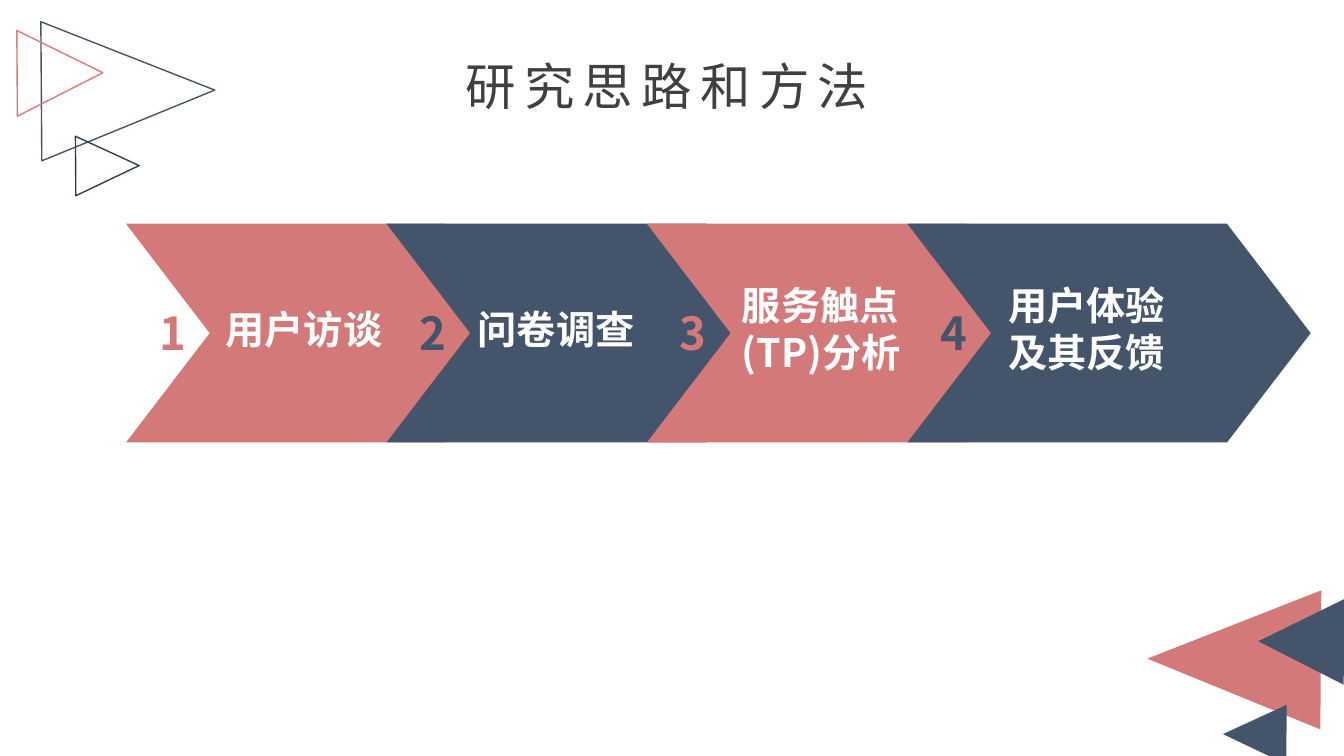
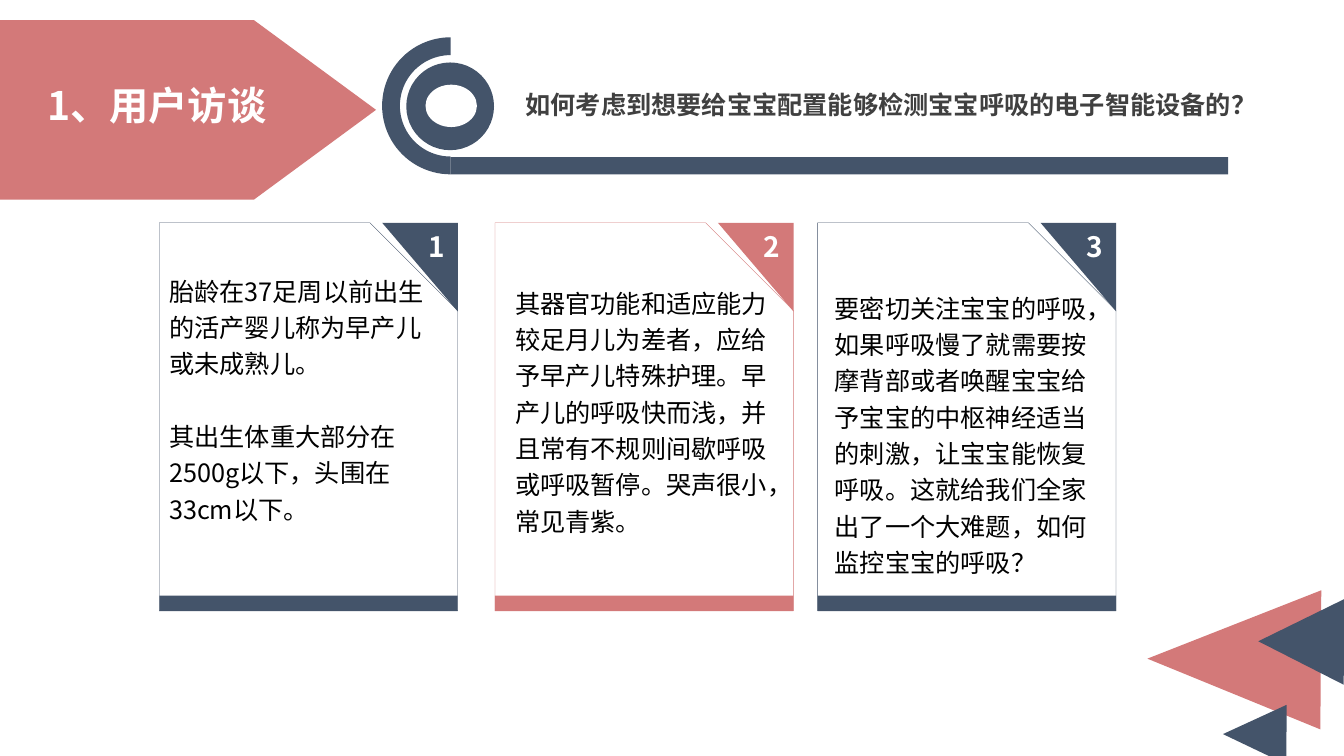
from lxml import etree
from pptx import Presentation
from pptx.dml.color import RGBColor
from pptx.enum.shapes import MSO_SHAPE
from pptx.enum.text import MSO_ANCHOR, MSO_AUTO_SIZE, PP_ALIGN
from pptx.oxml.ns import qn
from pptx.util import Pt

LEFT, CENTER, RIGHT = PP_ALIGN.LEFT, PP_ALIGN.CENTER, PP_ALIGN.RIGHT
TOP, MIDDLE = MSO_ANCHOR.TOP, MSO_ANCHOR.MIDDLE
TRIANGLE, RECT, OVAL = MSO_SHAPE.ISOSCELES_TRIANGLE, MSO_SHAPE.RECTANGLE, MSO_SHAPE.OVAL

PX = 9144  # 100 px to the inch
SLIDE_W, SLIDE_H = 1333, 750
TITLE_ONLY = 5
FONT = "Noto Sans CJK SC"
COLORS = {
    "coral": "D37979", "navy": "44546A", "dark navy": "333F50", "pink": "DD7979",
    "white": "FFFFFF", "black": "000000", "gray": "404040",
}

# box, colour
CORNER_TRIANGLES = [
    ((1155, 568, 138, 172), "coral"),
    ((1215, 697, 59, 63), "navy"),
    ((1248, 594, 85, 85), "navy"),
]
OUTLINE_TRIANGLES = [
    ((58, 4, 138, 172), "navy"),
    ((77, 133, 59, 63), "dark navy"),
    ((17, 30, 85, 85), "pink"),
]

METHODS_TITLE = "研究思路和方法"
# label left, label lines
STEPS = [
    (214, ["用户访谈"]),
    (464, ["问卷调查"]),
    (726, ["服务触点", "(TP)分析"]),
    (990, ["用户体验", "及其反馈"]),
]
STEP_LEFT, STEP_LAST_LEFT, STEP_TOP, STEP_W, STEP_H, STEP_POINT = 125, 900, 222, 400, 217, 83

INTERVIEW_TITLE = "1、用户访谈"
QUESTION = "如何考虑到想要给宝宝配置能够检测宝宝呼吸的电子智能设备的？"
# card left, colour, text left, text top, paragraphs with the space before each
CARDS = [
    (158, "navy", 158, 263, [
        ("胎龄在37足周以前出生", 0),
        ("的活产婴儿称为早产儿或未成熟儿。", 0),
        ("其出生体重大部分在2500g以下，头围在33cm以下。", 26),
    ]),
    (491, "coral", 501, 275, [
        ("其器官功能和适应能力较足月儿为差者，应给予早产儿特殊护理。早产儿的呼吸快而浅，"
         "并且常有不规则间歇呼吸或呼吸暂停。哭声很小，常见青紫。", 0),
    ]),
    (811, "navy", 818, 280, [
        ("要密切关注宝宝的呼吸，如果呼吸慢了就需要按摩背部或者唤醒宝宝给予宝宝的中枢神经适当的刺激，"
         "让宝宝能恢复呼吸。这就给我们全家出了一个大难题，如何监控宝宝的呼吸？", 0),
    ]),
]
CARD_TOP, CARD_W, CARD_H, CARD_BAND = 221, 296, 385, 15
FLAG_W, FLAG_H = 75, 88


def rgb(name):
    return RGBColor.from_string(COLORS[name])


def emu(lengths):
    return [round(v * PX) for v in lengths]


def paint(sp, fill=None, line=None, width=1):
    sp.shadow.inherit = False
    if fill:
        sp.fill.solid()
        sp.fill.fore_color.rgb = rgb(fill)
    else:
        sp.fill.background()
    if line:
        sp.line.color.rgb = rgb(line)
        sp.line.width = Pt(width)
    else:
        sp.line.fill.background()


def add_shape(slide, kind, box, fill=None, line=None, width=1, adjust=(), rotation=0):
    sp = slide.shapes.add_shape(kind, *emu(box))
    for i, value in enumerate(adjust):
        sp.adjustments[i] = value
    sp.rotation = rotation
    paint(sp, fill, line, width)
    return sp


def write(sp, lines, size, color, bold=False, align=LEFT, anchor=TOP, wrap=True, spacing=0):
    """Fill a shape with one paragraph per line, all formatted alike."""
    tf = sp.text_frame
    tf.text = "\n".join(lines)
    tf.word_wrap = wrap
    tf.auto_size = MSO_AUTO_SIZE.NONE
    tf.vertical_anchor = anchor
    for p in tf.paragraphs:
        p.alignment = align
        for r in p.runs:
            r.font.size = Pt(size)
            r.font.bold = bold
            r.font.color.rgb = rgb(color)
            r.font.name = FONT
            rpr = r.font._element
            etree.SubElement(rpr, qn("a:ea")).set("typeface", FONT)
            if spacing:
                rpr.set("spc", str(spacing * 100))
    return tf


def add_text(slide, box, lines, size, color, **style):
    return write(slide.shapes.add_textbox(*emu(box)), lines, size, color, **style)


def set_title(slide, box, text, size, color, **style):
    """Format the title placeholder and bring it to the front."""
    title = slide.shapes.title
    title.left, title.top, title.width, title.height = emu(box)
    title._element.getparent().append(title._element)
    return write(title, [text], size, color, **style)


def new_slide(prs):
    slide = prs.slides.add_slide(prs.slide_layouts[TITLE_ONLY])
    for box, color in CORNER_TRIANGLES:
        add_shape(slide, TRIANGLE, box, fill=color, rotation=270.4)
    return slide


def add_methods_slide(prs):
    slide = new_slide(prs)
    for box, color in OUTLINE_TRIANGLES:
        add_shape(slide, TRIANGLE, box, line=color, rotation=89.6)
    tf = set_title(slide, (457, 54, 409, 61), METHODS_TITLE, 36, "gray",
                   align=CENTER, anchor=MIDDLE, spacing=6)
    tf.margin_left = tf.margin_right = tf.margin_top = tf.margin_bottom = 0

    pitch = (STEP_LAST_LEFT - STEP_LEFT) / (len(STEPS) - 1)
    steps = [(STEP_LEFT + i * pitch, ("coral", "navy")[i % 2], *step)
             for i, step in enumerate(STEPS)]
    for left, color, _, _ in steps:
        add_shape(slide, MSO_SHAPE.CHEVRON, (left, STEP_TOP, STEP_W, STEP_H), fill=color,
                  adjust=[STEP_POINT / STEP_H])
    for number, (left, color, label_left, lines) in enumerate(steps, 1):
        top, height = (298, 57) if len(lines) == 1 else (274, 104)
        add_text(slide, (label_left, top, 244, height), lines, 28, "white", bold=True)
        add_text(slide, (left + 22, 298, 48, 71), [str(number)], 32.4, color,
                 bold=True, align=CENTER, wrap=False)


def add_card(slide, number, left, color, text_left, text_top, paragraphs):
    right = left + CARD_W
    add_shape(slide, MSO_SHAPE.SNIP_1_RECTANGLE, (left, CARD_TOP, CARD_W, CARD_H),
              fill="white", line=color, width=0.25, adjust=[0.294])
    add_shape(slide, RECT, (left, CARD_TOP + CARD_H - CARD_BAND, CARD_W, CARD_BAND), fill=color)

    flag = slide.shapes.build_freeform(right, CARD_TOP, scale=PX)
    flag.add_line_segments([(right - FLAG_W, CARD_TOP), (right, CARD_TOP + FLAG_H)])
    sp = flag.convert_to_shape()
    paint(sp, color)
    tf = write(sp, [str(number)], 20, "white", bold=True, align=RIGHT)
    tf.margin_left = tf.margin_right = 13 * PX
    tf.margin_top = tf.margin_bottom = 7 * PX

    tf = add_text(slide, (text_left, text_top, 283, 301), [text for text, _ in paragraphs],
                  18, "black")
    for p, (_, before) in zip(tf.paragraphs, paragraphs):
        p.line_spacing = 1.2
        p.space_before = Pt(before)


def add_interview_slide(prs):
    slide = new_slide(prs)
    add_shape(slide, MSO_SHAPE.PENTAGON, (0, 20, 373, 178), fill="coral", adjust=[0.68])
    set_title(slide, (37, 76, 336, 57), INTERVIEW_TITLE, 28, "white", bold=True)

    # Block arc angles are in 60000ths of a degree, over 100000: 90 and 270 degrees
    add_shape(slide, MSO_SHAPE.BLOCK_ARC, (379, 37, 136, 136), fill="navy",
              adjust=[54, 162, 0.13])
    add_shape(slide, RECT, (447, 156, 771, 17), fill="navy")
    add_shape(slide, OVAL, (403, 62, 87, 87), fill="navy")
    add_shape(slide, OVAL, (422, 84, 51, 42), fill="white")
    add_text(slide, (491, 84, 740, 40), [QUESTION], 18, "gray", bold=True, align=RIGHT)

    for number, card in enumerate(CARDS, 1):
        add_card(slide, number, *card)


def main():
    prs = Presentation()
    prs.slide_width, prs.slide_height = emu((SLIDE_W, SLIDE_H))
    add_methods_slide(prs)
    add_interview_slide(prs)
    prs.save("out.pptx")


if __name__ == "__main__":
    main()
